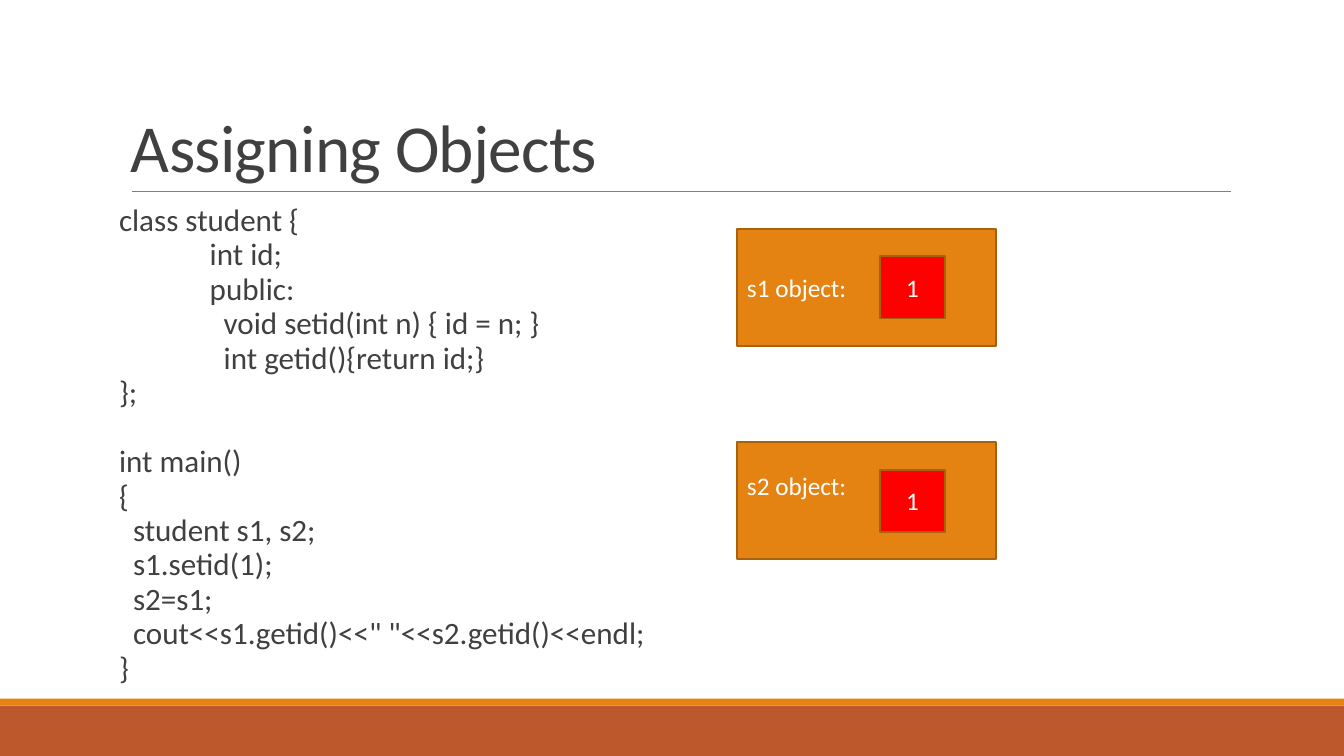
from dataclasses import dataclass

from lxml.etree import SubElement
from pptx import Presentation
from pptx.dml.color import RGBColor
from pptx.enum.shapes import MSO_CONNECTOR, MSO_SHAPE
from pptx.enum.text import MSO_ANCHOR, PP_ALIGN
from pptx.oxml.ns import qn
from pptx.util import Pt


@dataclass(frozen=True)
class Theme:
    """Colours, font and type sizes of the slide."""
    font: str = "Calibri"
    ink: str = "404040"
    white: str = "FFFFFF"
    rule: str = "808080"
    orange: str = "E48312"
    rust: str = "BD582C"
    edge: str = "A9610D"
    red: str = "FF0000"
    title: float = 48
    code: float = 22.2
    label: float = 18
    code_pitch: float = 24.6


def write(p, text, *, font, size, color, align=PP_ALIGN.LEFT, leading=None,
          before=0, indent=0, tracking=0):
    """Put formatted text in a paragraph; lengths are in points."""
    p.alignment = align
    p.space_before = Pt(before)
    if leading:
        p.line_spacing = leading
    if indent:
        p._p.get_or_add_pPr().set("marL", str(Pt(indent)))
    r = p.add_run()
    r.text = text
    r.font.name, r.font.size = font, Pt(size)
    r.font.color.rgb = RGBColor.from_string(color)
    if tracking:
        r._r.get_or_add_rPr().set("spc", str(round(tracking * 100)))


class Deck:
    """Holds the theme and the current slide."""

    def __init__(self, s, theme):
        """Keep the slide and theme for later calls."""
        self.s, self.theme = s, theme

    def frame(self, sp, anchor, margins):
        """Prepare a text frame with left, top, right, bottom margins."""
        tf = sp.text_frame
        tf.word_wrap, tf.vertical_anchor = True, anchor
        (tf.margin_left, tf.margin_top,
         tf.margin_right, tf.margin_bottom) = map(Pt, margins)
        return tf

    def rect(self, box, fill, edge=None, text="", align=PP_ALIGN.LEFT, lift=0):
        """Draw a rectangle; lift raises its centred label."""
        sp = self.s.shapes.add_shape(MSO_SHAPE.RECTANGLE, *map(Pt, box))
        sp.shadow.inherit = False
        sp.fill.solid()
        sp.fill.fore_color.rgb = RGBColor.from_string(fill)
        if edge:
            sp.line.color.rgb = RGBColor.from_string(edge)
            sp.line.width = Pt(1.25)
        else:
            sp.line.fill.background()
        if text:
            tf = self.frame(sp, MSO_ANCHOR.MIDDLE, (7.2, 3.6, 7.2, 3.6 + 2 * lift))
            write(tf.paragraphs[0], text, font=self.theme.font,
                  size=self.theme.label, color=self.theme.white, align=align)

    def line(self, x1, x2, y):
        """Draw a thin horizontal rule."""
        sp = self.s.shapes.add_connector(MSO_CONNECTOR.STRAIGHT, *map(Pt, (x1, y, x2, y)))
        sp.line.color.rgb = RGBColor.from_string(self.theme.rule)
        sp.line.width = Pt(0.5)
        SubElement(sp._element.spPr, qn("a:effectLst"))

    def title(self, box, text):
        """Write the slide title on the bottom of its box."""
        sp = self.s.shapes.add_textbox(*map(Pt, box))
        tf = self.frame(sp, MSO_ANCHOR.BOTTOM, (7.2, 3.6, 7.2, 3.6))
        write(tf.paragraphs[0], text, font=self.theme.font, size=self.theme.title,
              color=self.theme.ink, leading=0.85, tracking=-0.5)

    def code(self, box, blocks):
        """Write blocks of (indent, text) lines, one line apart."""
        t = self.theme
        sp = self.s.shapes.add_textbox(*map(Pt, box))
        tf = self.frame(sp, MSO_ANCHOR.TOP, (0, 0, 0, 0))
        p = tf.paragraphs[0]
        for b, block in enumerate(blocks):
            for i, (indent, text) in enumerate(block):
                if b or i:
                    p = tf.add_paragraph()
                gap = t.code_pitch if b and not i else 0
                write(p, text, font=t.font, size=t.code, color=t.ink,
                      leading=Pt(t.code_pitch), before=gap, indent=indent)


TAB, STEP = 64.8, 10
CLASS_CODE = [
    (0, "class student {"),
    (TAB, "int id;"),
    (TAB, "public:"),
    (TAB + STEP, "void setid(int n) { id = n; }"),
    (TAB + STEP, "int getid(){return id;}"),
    (0, "};"),
]
MAIN_CODE = [
    (0, "int main()"),
    (0, "{"),
    (STEP, "student s1, s2;"),
    (STEP, "s1.setid(1);"),
    (STEP, "s2=s1;"),
    (STEP, 'cout<<s1.getid()<<" "<<s2.getid()<<endl;'),
    (0, "}"),
]


def main():
    """Build and save the slide."""
    prs = Presentation()
    prs.slide_width, prs.slide_height = Pt(960), Pt(540)
    theme = Theme()
    deck = Deck(prs.slides.add_slide(prs.slide_layouts[6]), theme)

    deck.rect((0, 504, 960, 36), theme.rust)
    deck.rect((0, 499, 960, 5), theme.orange)
    deck.line(94.3, 879, 136.7)
    deck.title((86.4, 22.3, 792, 114.5), "Assigning Objects")
    deck.code((85, 145.2, 386, 345), [CLASS_CODE, MAIN_CODE])

    for name, top, lift in (("s1", 163.5, 0), ("s2", 316, 11)):
        deck.rect((526.5, top, 185, 83.5), theme.orange, theme.edge,
                  f"{name} object:", lift=lift)
        deck.rect((628.5, top + 19.5, 46.5, 44.5), theme.red, theme.edge,
                  "1", PP_ALIGN.CENTER)
    prs.save("out.pptx")


main()
